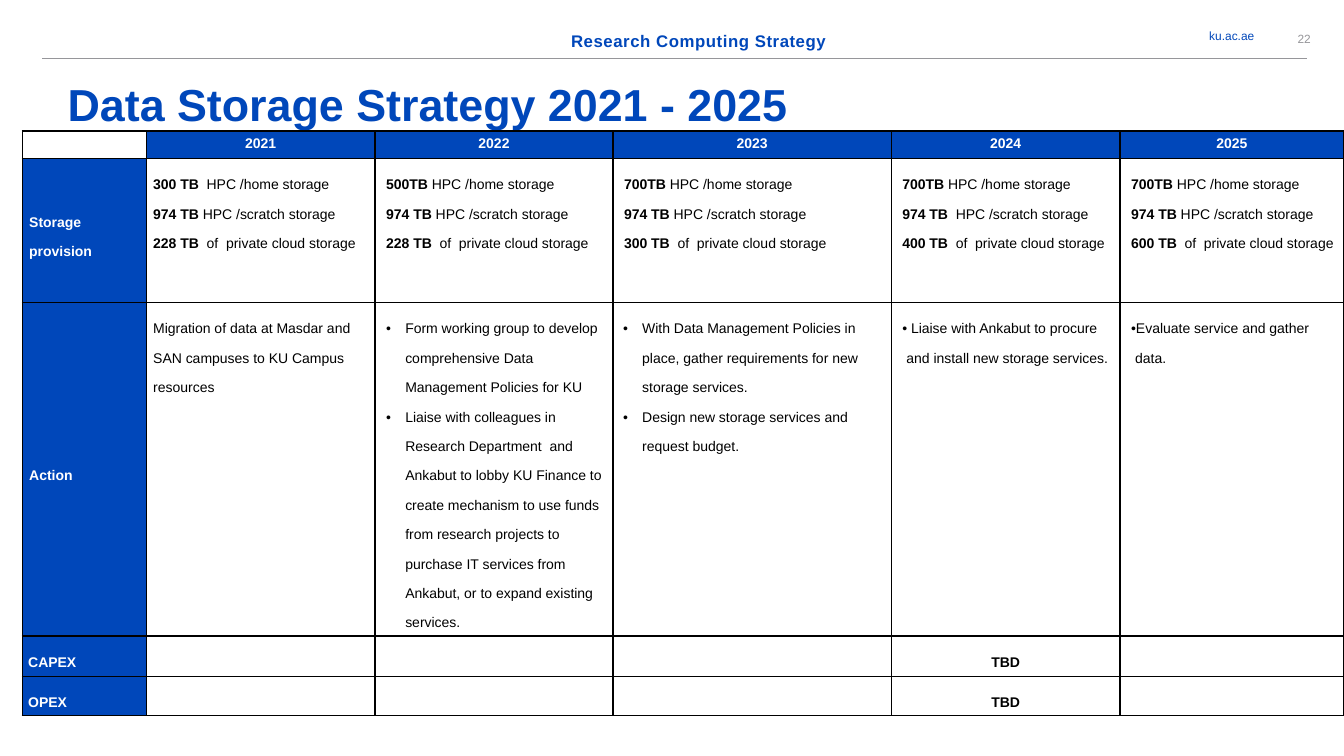
"""Build the data storage strategy slide with its five-year plan table."""
import pptx
import pptx.util
import pptx.dml.color
import pptx.enum.text
import pptx.enum.shapes
import pptx.oxml.ns
from lxml import etree

Inches, Pt = pptx.util.Inches, pptx.util.Pt
RGBColor = pptx.dml.color.RGBColor
qn = pptx.oxml.ns.qn
ALIGN, ANCHOR = pptx.enum.text.PP_ALIGN, pptx.enum.text.MSO_ANCHOR
BLUE = RGBColor(0x00, 0x47, 0xBA)
GREY = RGBColor(0x96, 0x96, 0x9A)
BLACK = RGBColor(0, 0, 0)
WHITE = RGBColor(0xFF, 0xFF, 0xFF)


def add_run(p, text, size, color, bold=False):
    r = p.add_run()
    r.text = text
    font = {"name": "Arial", "size": Pt(size), "bold": bold}
    for key, value in font.items():
        setattr(r.font, key, value)
    r.font.color.rgb = color
    return r


def set_frame(tf, anchor):
    frame = {"margin_left": 0, "margin_right": 0, "margin_top": 0, "margin_bottom": 0,
             "word_wrap": True, "vertical_anchor": anchor}
    for key, value in frame.items():
        setattr(tf, key, value)
    return tf.paragraphs[0]


prs = pptx.Presentation()
prs.slide_width, prs.slide_height = Inches(13.33), Inches(7.5)
s = prs.slides.add_slide(prs.slide_layouts[5])

title = s.shapes.title
box = {"left": 0.67, "top": 0.75, "width": 12, "height": 0.54}
for key, value in box.items():
    setattr(title, key, Inches(value))
p = set_frame(title.text_frame, ANCHOR.BOTTOM)
title.text_frame.auto_size = pptx.enum.text.MSO_AUTO_SIZE.NONE
p.alignment = ALIGN.LEFT
add_run(p, "Data Storage Strategy 2021 - 2025", 32, BLUE, True)

labels = [
    ("ku.ac.ae", (11.39, 0.22, 1.05, 0.27), ALIGN.RIGHT, ANCHOR.MIDDLE, 8.5, BLUE, False),
    ("Research Computing Strategy", (4.58, 0.31, 4.7, 0.2), ALIGN.CENTER, ANCHOR.TOP, 12, BLUE, True),
    ("22", (12.65, 0.25, 0.57, 0.27), ALIGN.CENTER, ANCHOR.MIDDLE, 8.5, GREY, False),
]
for text, place, align, anchor, size, color, bold in labels:
    sp = s.shapes.add_textbox(*[Inches(v) for v in place])
    p = set_frame(sp.text_frame, anchor)
    p.alignment = align
    r = add_run(p, text, size, color, bold)
    if bold:
        r.font._element.set("spc", "40")

rule = s.shapes.add_connector(pptx.enum.shapes.MSO_CONNECTOR.STRAIGHT,
                              Inches(0.42), Inches(0.58), Inches(12.96), Inches(0.58))
rule.line.color.rgb = GREY
rule.line.width = Pt(0.75)
etree.SubElement(rule._element.spPr, qn("a:effectLst"))

storage = [
    ("300 TB  |", "974 TB |", "228 TB  |"),
    ("500TB| ", "974 TB| ", "228 TB  |"),
    ("700TB| ", "974 TB| ", "300 TB  |"),
    ("700TB| ", "974 TB|  ", "400 TB  |"),
    ("700TB| ", "974 TB| ", "600 TB  |"),
]
uses = ("HPC /home storage", "HPC /scratch storage", "of  private cloud storage")
provision = [[size + use for size, use in zip(sizes, uses)] for sizes in storage]
actions = [
    ["|Migration of data at Masdar and SAN campuses to KU Campus resources"],
    ["|Form working group to develop comprehensive Data Management Policies for KU",
     "|Liaise with colleagues in Research Department  and Ankabut to lobby KU Finance to "
     "create mechanism to use funds from research projects to purchase IT services from "
     "Ankabut, or to expand existing services."],
    ["|With Data Management Policies in place, gather requirements for new storage services.",
     "|Design new storage services and request budget."],
    ["| Liaise with Ankabut to procure and install new storage services."],
    ["|Evaluate service and gather data."],
]
budget = [[], [], [], ["TBD|"], []]
rows = [
    [[]] + [[f"{year}|"] for year in range(2021, 2026)],
    [["Storage provision|"]] + provision,
    [["Action|"]] + actions,
    [["CAPEX|"]] + budget,
    [["OPEX|"]] + budget,
]
action_indents = {2: (0.2, -0.19), 3: (0.19, -0.19), 4: (0.05, -0.04), 5: (0.05, -0.04)}
widths = (1.23, 2.27, 2.36, 2.76, 2.27, 2.22)
heights = (0.27, 1.43, 3.31, 0.4, 0.39)

frame = s.shapes.add_table(len(rows), len(widths), Inches(0.22), Inches(1.3),
                           Inches(sum(widths)), Inches(sum(heights)))
table = frame.table
table.first_row = table.horz_banding = False
for column, width in zip(table.columns, widths):
    column.width = Inches(width)
for row, height in zip(table.rows, heights):
    row.height = Inches(height)

for i, row in enumerate(rows):
    for j, paragraphs in enumerate(row):
        cell = table.cell(i, j)
        tcPr = cell._tc.get_or_add_tcPr()
        for side in ("a:lnL", "a:lnR", "a:lnT", "a:lnB"):
            ln = etree.SubElement(tcPr, qn(side), w="12700")
            fill = etree.SubElement(ln, qn("a:solidFill"))
            etree.SubElement(fill, qn("a:srgbClr"), val=str(BLACK))
        heading = (i == 0) != (j == 0)
        if heading:
            cell.fill.solid()
            cell.fill.fore_color.rgb = BLUE
        else:
            cell.fill.background()
        if i and j < 2:
            cell.margin_left = cell.margin_right = Inches(0.06)
        if i in (1, 2) and j == 0:
            cell.vertical_anchor = ANCHOR.MIDDLE
        tf = cell.text_frame
        if not paragraphs:
            etree.SubElement(tf.paragraphs[0]._p, qn("a:endParaRPr"), sz="1000")
        for n, text in enumerate(paragraphs):
            p = tf.add_paragraph() if n else tf.paragraphs[0]
            if i in (1, 2):
                bulleted = i == 2 and j in action_indents
                left, first = action_indents[j] if bulleted else (0.01, 0)
                pPr = p._p.get_or_add_pPr()
                pPr.set("marL", str(Inches(left)))
                pPr.set("indent", str(Inches(first)))
                if bulleted:
                    etree.SubElement(pPr, qn("a:buFont"), typeface="Arial")
                    etree.SubElement(pPr, qn("a:buChar"), char="•")
            if i:
                p.line_spacing = Pt(21)
            if j and i in (0, 3, 4):
                p.alignment = ALIGN.CENTER
            strong, plain = text.split("|")
            for part, bold in ((strong, True), (plain, False)):
                if part:
                    add_run(p, part, 10, WHITE if heading else BLACK, bold)

prs.save("out.pptx")
